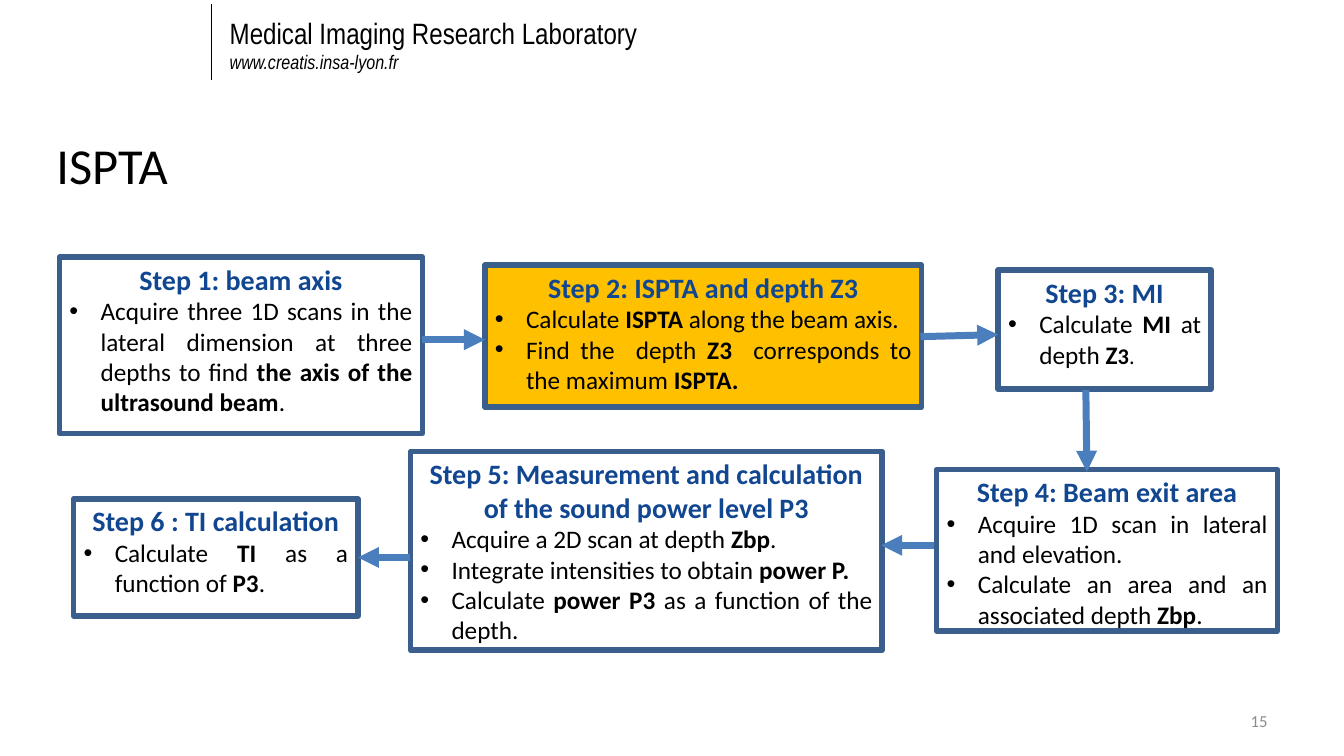
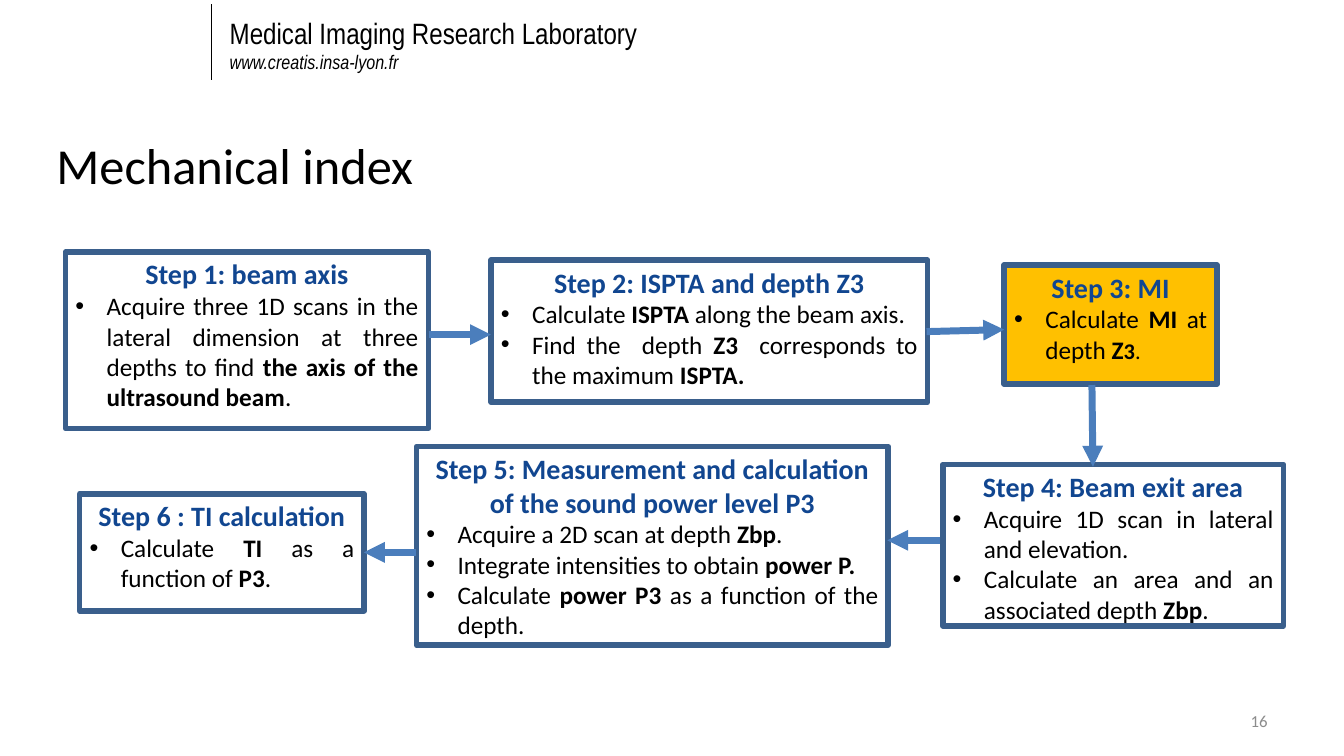
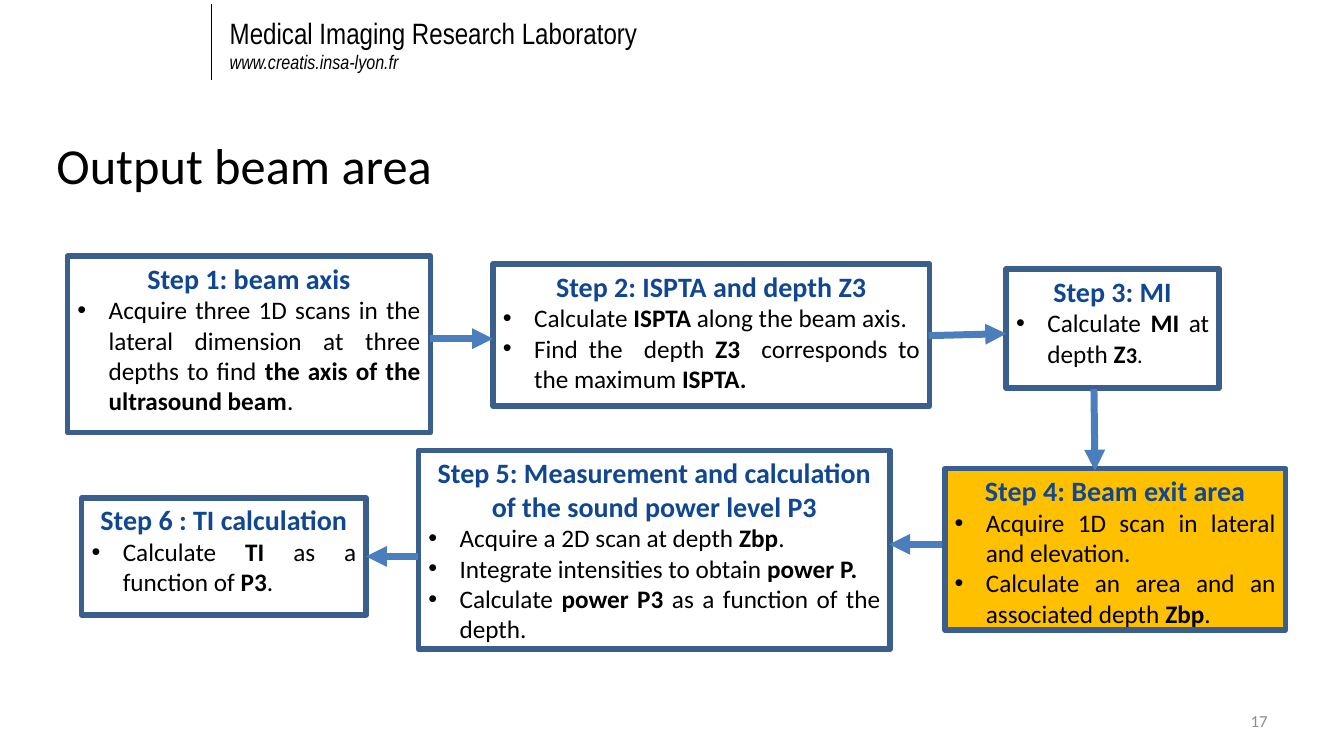
from lxml.etree import SubElement
from pptx import Presentation
from pptx.dml.color import RGBColor
from pptx.enum.shapes import MSO_CONNECTOR, MSO_SHAPE
from pptx.enum.text import MSO_ANCHOR, MSO_AUTO_SIZE, PP_ALIGN
from pptx.oxml.ns import qn
from pptx.util import Inches, Pt

COLORS = {
    "text": "000000",
    "heading": "114690",
    "border": "3A5F8C",
    "arrow": "4B7EBC",
    "highlight": "FFC000",
    "number": "8C8C8C",
}
BODY_FONT, HEADER_FONT = "Calibri", "Arial Narrow"

# Run styles: (bold, size)
PLAIN, BOLD = (False, 18), (True, 18)
SMALL, SMALL_BOLD = (False, 16), (True, 16)

# Each step: box inside the flow chart, heading, bullets made of runs
STEPS = [
    ((0, 0, 3.6, 1.75), "Step 1: beam axis", [
        [("Acquire three 1D scans in the lateral dimension at three depths to find ", PLAIN),
         ("the axis of the ultrasound beam", BOLD), (".", PLAIN)],
    ]),
    ((4.22, 0.08, 4.33, 1.41), "Step 2: ISPTA and depth Z3", [
        [("Calculate ", PLAIN), ("ISPTA ", BOLD), ("along the beam axis. ", PLAIN)],
        [("Find the  depth ", PLAIN), ("Z3  ", BOLD),
         ("corresponds to the maximum ", PLAIN), ("ISPTA.", BOLD)],
    ]),
    ((9.31, 0.13, 2.11, 1.18), "Step 3: MI", [
        [("Calculate ", PLAIN), ("MI ", BOLD), ("at depth ", PLAIN),
         ("Z", BOLD), ("3", SMALL_BOLD), (".", SMALL)],
    ]),
    ((8.7, 2.11, 3.38, 1.6), "Step 4: Beam exit area", [
        [("Acquire 1D scan in lateral and elevation. ", PLAIN)],
        [("Calculate an area and an associated depth ", PLAIN), ("Zbp", BOLD), (".", PLAIN)],
    ]),
    ((3.48, 1.93, 4.68, 1.97),
     "Step 5: Measurement and calculation of the sound power level P3", [
        [("Acquire a 2D scan at depth ", PLAIN), ("Zbp", BOLD), (". ", PLAIN)],
        [("Integrate intensities to obtain ", PLAIN), ("power P. ", BOLD)],
        [("Calculate", PLAIN), (" power P3 ", BOLD), ("as a function of the depth.", PLAIN)],
    ]),
    ((0.14, 2.4, 2.82, 1.16), "Step 6 : TI calculation", [
        [("Calculate ", PLAIN), ("TI ", BOLD), ("as a function of ", PLAIN),
         ("P3", BOLD), (".", PLAIN)],
    ]),
]

# Arrows between consecutive steps: x1, y1, x2, y2 inside the flow chart
ARROWS = [
    (3.6, 0.82, 4.22, 0.82),
    (8.54, 0.79, 9.31, 0.77),
    (10.18, 1.32, 10.19, 2.13),
    (8.67, 2.86, 8.15, 2.86),
    (3.48, 2.98, 2.96, 2.98),
]

# Title, page number, flow chart origin, highlighted step
SLIDES = [
    ("ISPTA", 15, (0.59, 2.55), 2),
    ("Mechanical index", 16, (0.65, 2.5), 3),
    ("Output beam area", 17, (0.67, 2.54), 4),
]


def rgb(name):
    return RGBColor.from_string(COLORS[name])


def add_run(p, text, size, color="text", font=BODY_FONT, bold=False, italic=False):
    r = p.add_run()
    r.text = text
    f = r.font
    f.name, f.size, f.bold, f.italic = font, Pt(size), bold, italic
    f.color.rgb = rgb(color)


def add_text_box(s, box):
    tf = s.shapes.add_textbox(*map(Inches, box)).text_frame
    tf.word_wrap = True
    return tf


def add_line(s, ends, color, width, arrow=False):
    line = s.shapes.add_connector(MSO_CONNECTOR.STRAIGHT, *map(Inches, ends))
    line.line.color.rgb = rgb(color)
    line.line.width = Pt(width)
    if arrow:
        SubElement(line.line._get_or_add_ln(), qn("a:tailEnd"), type="triangle")
    SubElement(line._element.spPr, qn("a:effectLst"))


def set_bullet(p):
    pPr = p._p.get_or_add_pPr()
    pPr.set("marL", str(Inches(0.31)))
    pPr.set("indent", str(-Inches(0.31)))
    SubElement(pPr, qn("a:buFont"), typeface="Arial")
    SubElement(pPr, qn("a:buChar"), char="•")


def add_header(s):
    add_line(s, (2.1, 0.04, 2.1, 0.79), "text", 1)
    tf = add_text_box(s, (2.18, 0.1, 8.62, 0.69))
    add_run(tf.paragraphs[0], "Medical Imaging Research Laboratory", 21, font=HEADER_FONT)
    add_run(tf.add_paragraph(), "www.creatis.insa-lyon.fr", 14, font=HEADER_FONT, italic=True)


def add_title(s, text):
    sp = s.shapes.title
    sp.left, sp.top, sp.width, sp.height = map(Inches, (0.46, 1.28, 10.14, 0.71))
    tf = sp.text_frame
    tf.word_wrap = True
    tf.auto_size = MSO_AUTO_SIZE.NONE
    tf.vertical_anchor = MSO_ANCHOR.TOP
    p = tf.paragraphs[0]
    p.alignment = PP_ALIGN.LEFT
    add_run(p, text, 36)


def add_page_number(s, number):
    tf = add_text_box(s, (9.56, 6.95, 3.11, 0.4))
    tf.vertical_anchor = MSO_ANCHOR.MIDDLE
    p = tf.paragraphs[0]
    p.alignment = PP_ALIGN.RIGHT
    add_run(p, str(number), 12, "number")


def add_step(s, box, heading, bullets, highlighted):
    sp = s.shapes.add_shape(MSO_SHAPE.RECTANGLE, *map(Inches, box))
    sp.shadow.inherit = False
    if highlighted:
        sp.fill.solid()
        sp.fill.fore_color.rgb = rgb("highlight")
    else:
        sp.fill.background()
    sp.line.color.rgb = rgb("border")
    sp.line.width = Pt(4)

    tf = sp.text_frame
    tf.word_wrap = True
    tf.vertical_anchor = MSO_ANCHOR.TOP
    p = tf.paragraphs[0]
    p.alignment = PP_ALIGN.CENTER
    add_run(p, heading, 20, "heading", bold=True)
    for runs in bullets:
        p = tf.add_paragraph()
        p.alignment = PP_ALIGN.JUSTIFY
        set_bullet(p)
        for text, (bold, size) in runs:
            add_run(p, text, size, bold=bold)


def add_flow_chart(s, origin, current):
    x, y = origin
    for number, ((left, top, w, h), heading, bullets) in enumerate(STEPS, 1):
        add_step(s, (x + left, y + top, w, h), heading, bullets, number == current)
    for x1, y1, x2, y2 in ARROWS:
        add_line(s, (x + x1, y + y1, x + x2, y + y2), "arrow", 5, arrow=True)


def main():
    prs = Presentation()
    prs.slide_width, prs.slide_height = Inches(13.33), Inches(7.5)
    title_only = prs.slide_layouts[5]
    for title, number, origin, current in SLIDES:
        s = prs.slides.add_slide(title_only)
        add_header(s)
        add_title(s, title)
        add_page_number(s, number)
        add_flow_chart(s, origin, current)
    prs.save("out.pptx")


if __name__ == "__main__":
    main()
